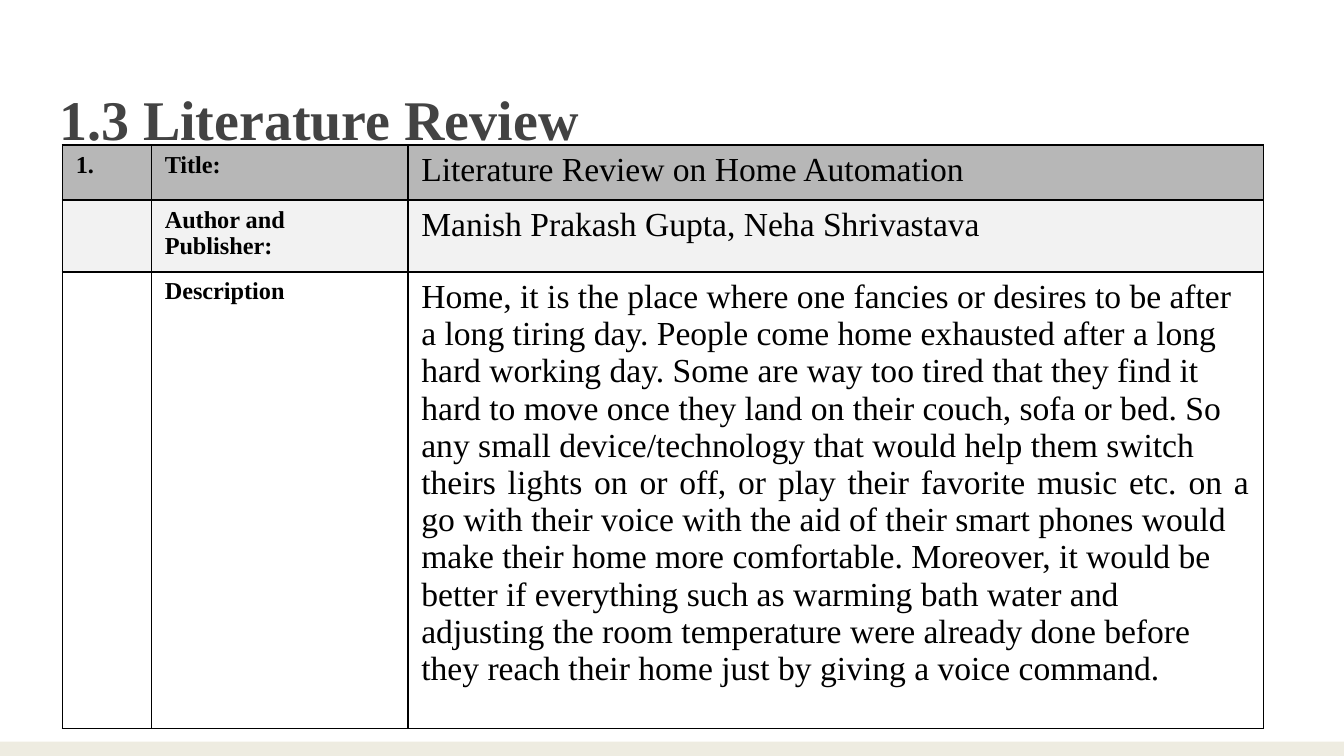
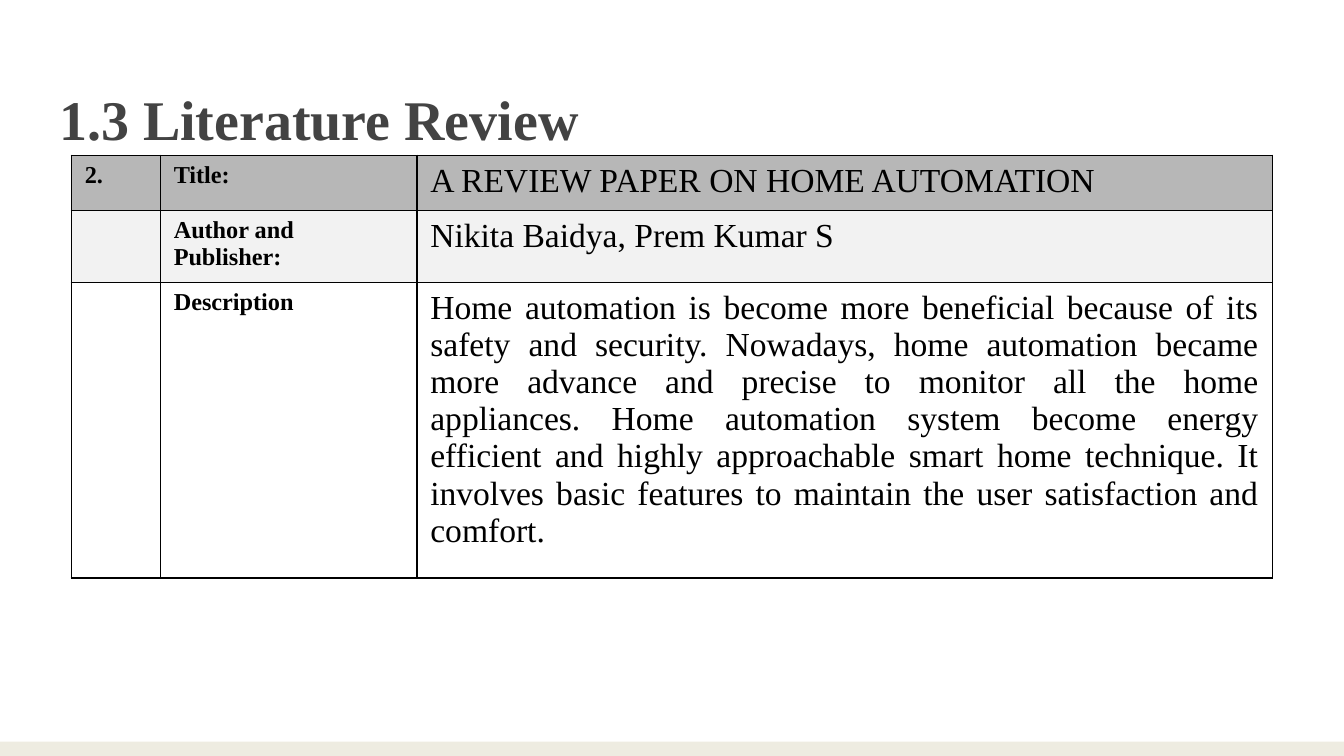
from dataclasses import dataclass

from lxml.etree import SubElement
from pptx import Presentation
from pptx.dml.color import RGBColor
from pptx.enum.shapes import MSO_SHAPE
from pptx.enum.text import MSO_ANCHOR, PP_ALIGN
from pptx.oxml.ns import qn
from pptx.util import Cm, Pt


@dataclass(frozen=True)
class Theme:
    font: str = "Times New Roman"
    heading: str = "434343"
    ink: str = "000000"
    band: str = "EEECE1"
    row_fills: tuple = ("B7B7B7", "F2F2F2", "FFFFFF")
    heading_size: int = 30
    label_size: int = 13
    body_size: int = 18
    border: float = 0.96


theme = Theme()
row_labels = ("Title:", "Author and Publisher:", "Description")
column_widths = (1.68, 4.85, 16.17)
row_height = 1.04

# Reviewed papers: each description is a list of paragraphs
papers = [
    {
        "number": "1.",
        "left": 1.18,
        "top": 2.74,
        "description_height": 8.5,
        "title": "Literature Review on Home Automation",
        "authors": "Manish Prakash Gupta, Neha Shrivastava",
        "description": [
            "Home, it is the place where one fancies or desires to be after",
            "a long tiring day. People come home exhausted after a long",
            "hard working day. Some are way too tired that they find it",
            "hard to move once they land on their couch, sofa or bed. So",
            "any small device/technology that would help them switch",
            "theirs lights on or off, or play their favorite music etc. on a go "
            "with their voice with the aid of their smart phones would",
            "make their home more comfortable. Moreover, it would be",
            "better if everything such as warming bath water and",
            "adjusting the room temperature were already done before",
            "they reach their home just by giving a voice command.",
        ],
    },
    {
        "number": "2.",
        "left": 1.35,
        "top": 2.94,
        "description_height": row_height,
        "title": "A REVIEW PAPER ON HOME AUTOMATION",
        "authors": "Nikita Baidya, Prem Kumar S",
        "description": [
            "Home automation is become more beneficial because of its safety and "
            "security. Nowadays, home automation became more advance and precise to "
            "monitor all the home appliances. Home automation system become energy "
            "efficient and highly approachable smart home technique. It involves "
            "basic features to maintain the user satisfaction and comfort.",
        ],
    },
]


def write(frame, paragraphs, size, color, bold=False, align=PP_ALIGN.LEFT):
    for index, words in enumerate(paragraphs):
        paragraph = frame.add_paragraph() if index else frame.paragraphs[0]
        paragraph.alignment = align
        run = paragraph.add_run()
        run.text = words
        run.font.name = theme.font
        run.font.size = Pt(size)
        run.font.bold = bold
        run.font.color.rgb = RGBColor.from_string(color)


def style_cell(cell, fill):
    # Borders come before the fill in the cell properties
    properties = cell._tc.get_or_add_tcPr()
    for side in ("a:lnL", "a:lnR", "a:lnT", "a:lnB"):
        line = SubElement(properties, qn(side), w=str(Pt(theme.border)))
        solid = SubElement(line, qn("a:solidFill"))
        SubElement(solid, qn("a:srgbClr"), val=theme.ink)
    cell.fill.solid()
    cell.fill.fore_color.rgb = RGBColor.from_string(fill)


deck = Presentation()
deck.slide_width = Cm(25.4)
deck.slide_height = Cm(14.29)

for paper in papers:
    slide = deck.slides.add_slide(deck.slide_layouts[6])

    # Bottom band
    band = slide.shapes.add_shape(
        MSO_SHAPE.RECTANGLE, 0, Cm(14.02), deck.slide_width, Cm(0.27)
    )
    band.shadow.inherit = False
    band.fill.solid()
    band.fill.fore_color.rgb = RGBColor.from_string(theme.band)
    band.line.fill.background()

    # Heading
    heading = slide.shapes.add_textbox(Cm(0.87), Cm(1.24), Cm(23.67), Cm(1.7)).text_frame
    heading.word_wrap = True
    heading.vertical_anchor = MSO_ANCHOR.TOP
    heading.margin_left = heading.margin_right = heading.margin_bottom = Cm(0.25)
    heading.margin_top = Cm(0.35)
    write(heading, ["1.3 Literature Review"], theme.heading_size, theme.heading, bold=True)

    # Review table
    row_heights = (row_height, row_height, paper["description_height"])
    review = slide.shapes.add_table(
        len(row_heights), len(column_widths), Cm(paper["left"]), Cm(paper["top"]),
        Cm(sum(column_widths)), Cm(sum(row_heights)),
    ).table
    review.first_row = False
    review.horz_banding = False
    for column, width in zip(review.columns, column_widths):
        column.width = Cm(width)

    details = ([paper["title"]], [paper["authors"]], paper["description"])
    for index, (label, detail) in enumerate(zip(row_labels, details)):
        review.rows[index].height = Cm(row_heights[index])
        number_cell, label_cell, detail_cell = review.rows[index].cells
        for cell in (number_cell, label_cell, detail_cell):
            style_cell(cell, theme.row_fills[index])
        if index == 0:
            write(number_cell.text_frame, [paper["number"]], theme.label_size, theme.ink, bold=True)
        write(label_cell.text_frame, [label], theme.label_size, theme.ink, bold=True)
        align = PP_ALIGN.JUSTIFY if label == "Description" else PP_ALIGN.LEFT
        write(detail_cell.text_frame, detail, theme.body_size, theme.ink, align=align)

deck.save("out.pptx")
